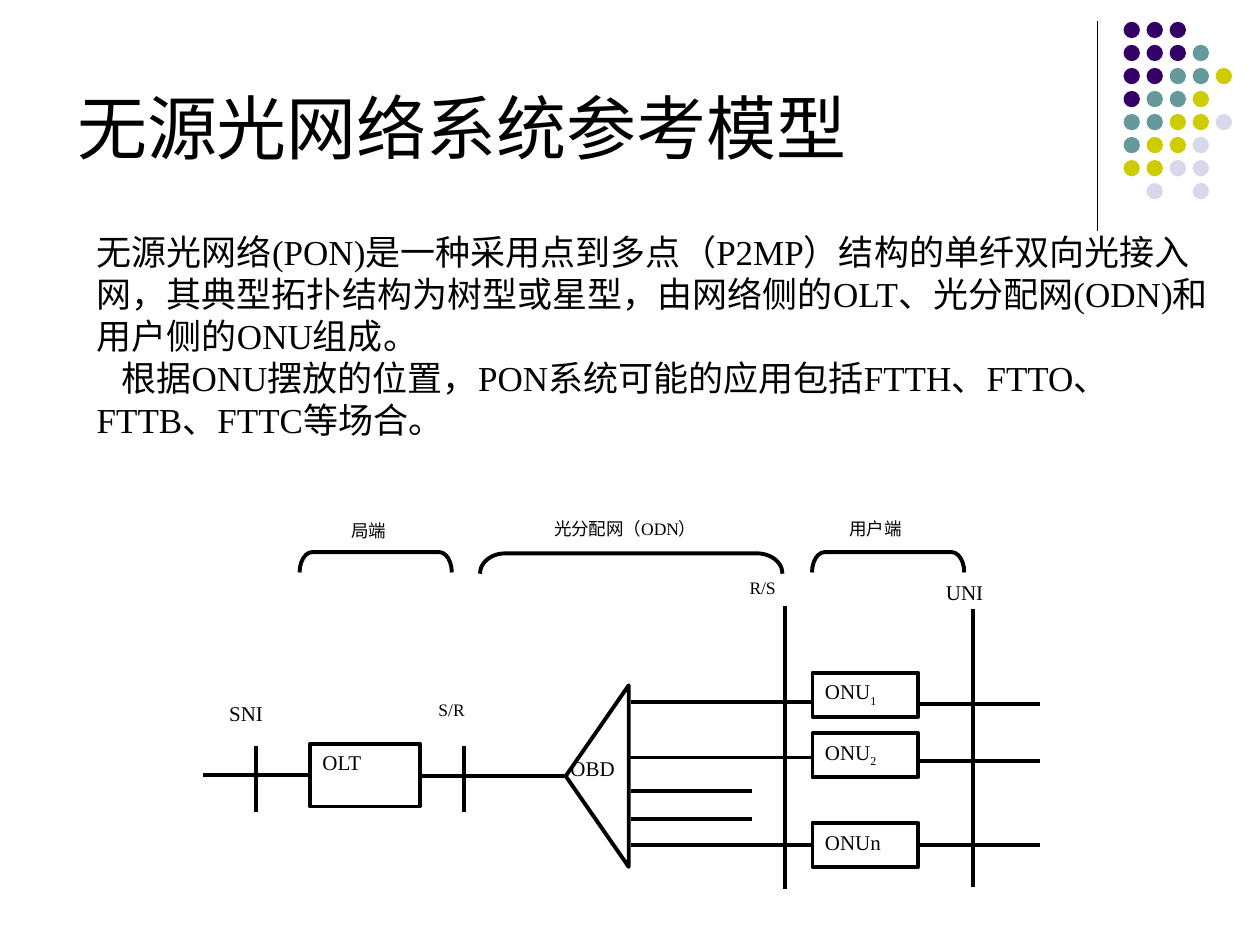
"""Build a slide on the reference model of a passive optical network."""
from lxml.etree import SubElement
from pptx import Presentation
from pptx.dml.color import RGBColor
from pptx.enum.shapes import MSO_CONNECTOR, MSO_SHAPE
from pptx.enum.text import MSO_ANCHOR, MSO_AUTO_SIZE, PP_ALIGN
from pptx.oxml.ns import qn
from pptx.util import Cm, Pt

BLACK = RGBColor(0, 0, 0)
WHITE = RGBColor(255, 255, 255)
HUES = {
    "P": RGBColor(0x33, 0x00, 0x66),
    "T": RGBColor(0x66, 0x99, 0x99),
    "Y": RGBColor(0xCC, 0xCC, 0x00),
    "L": RGBColor(0xD8, 0xD8, 0xEC),
}
FACE = "Times New Roman"
TITLE = "无源光网络系统参考模型"
BODY = [
    "无源光网络(PON)是一种采用点到多点（P2MP）结构的单纤双向光接入网，其典型拓扑结构为树型或星型，"
    "由网络侧的OLT、光分配网(ODN)和用户侧的ONU组成。",
    "根据ONU摆放的位置，PON系统可能的应用包括FTTH、FTTO、FTTB、FTTC等场合。",
]
DOTS = ["PPP", "PPPT", "PPTTY", "PTTY", "TTYYL", "TYYL", "YYLL", " L L"]
DOT, STEP, DOT_X, DOT_Y = 0.33, 3.25 / 7, 22.65, 0.44

ROWS = [
    (4.09, 6.22, 15.62), (8.46, 12.52, 15.65),
    (12.73, 17.3, 14.15), (12.7, 17.27, 15.27), (12.73, 17.3, 17.04),
    (12.73, 15.16, 15.95), (12.73, 15.16, 16.51),
    (18.52, 20.96, 14.2), (18.52, 20.96, 15.34), (18.52, 20.96, 17.04),
]
COLS = [
    (5.16, 15.04, 16.36), (9.35, 15.04, 16.36),
    (15.82, 12.22, 17.93), (19.61, 12.27, 17.88),
]
NODES = [
    ("OLT", "", 6.25, 14.99, 2.21, 1.27),
    ("ONU", "1", 16.38, 13.56, 2.13, 0.89),
    ("ONU", "2", 16.38, 14.78, 2.13, 0.89),
    ("ONUn", "", 16.38, 16.59, 2.13, 0.89),
]
ARCS = [(7.37, 9.8, 3.07, 0.62), (12.52, 8.31, 6.1, 1.25), (17.7, 9.8, 3.07, 0.62)]
LABELS = [
    ("SNI", 12, 4.37, 14, 1.52), ("S/R", 10, 8.59, 13.97, 2.13),
    ("R/S", 10, 14.86, 11.51, 2.13), ("UNI", 12, 18.82, 11.56, 1.83),
    ("局端", 10, 6.83, 10.36, 2.13), ("光分配网（ODN）", 10, 10.92, 10.31, 4.7),
    ("用户端", 10, 16.87, 10.31, 2.13), ("OBD", 12, 11.25, 15.11, 2.13),
]


def style(para, size, align=PP_ALIGN.LEFT):
    para.alignment = align
    for run in para.runs:
        run.font.name = FACE
        run.font.size = Pt(size)
        run.font.color.rgb = BLACK


def draw_line(slide, x1, y1, x2, y2, width=2.25):
    line = slide.shapes.add_connector(
        MSO_CONNECTOR.STRAIGHT, Cm(x1), Cm(y1), Cm(x2), Cm(y2))
    line.line.color.rgb = BLACK
    line.line.width = Pt(width)
    SubElement(line._element.spPr, qn("a:effectLst"))


def draw_shape(slide, kind, x, y, w, h, fill=None, edge=True):
    shape = slide.shapes.add_shape(kind, Cm(x), Cm(y), Cm(w), Cm(h))
    shape.shadow.inherit = False
    if fill is None:
        shape.fill.background()
    else:
        shape.fill.solid()
        shape.fill.fore_color.rgb = fill
    if edge:
        shape.line.color.rgb = BLACK
        shape.line.width = Pt(2.25)
    else:
        shape.line.fill.background()
    return shape


def draw_text(slide, x, y, w, h):
    frame = slide.shapes.add_textbox(Cm(x), Cm(y), Cm(w), Cm(h)).text_frame
    frame.word_wrap = True
    return frame


def draw_dots(slide):
    for j, row in enumerate(DOTS):
        for i, key in enumerate(row):
            if key in HUES:
                draw_shape(slide, MSO_SHAPE.OVAL, DOT_X + i * STEP,
                           DOT_Y + j * STEP, DOT, DOT, HUES[key], False)


def draw_head(slide):
    title = slide.shapes.title
    title.left, title.top = Cm(1.3), Cm(1.32)
    title.width, title.height = Cm(20.96), Cm(2.21)
    frame = title.text_frame
    frame.text = TITLE
    frame.auto_size = MSO_AUTO_SIZE.NONE
    frame.vertical_anchor = MSO_ANCHOR.BOTTOM
    style(frame.paragraphs[0], 40)


def draw_body(slide):
    frame = draw_text(slide, 1.7, 4.52, 23.19, 4.5)
    frame.text = "\n".join(BODY)
    for para in frame.paragraphs:
        style(para, 20)
    frame.paragraphs[1]._p.get_or_add_pPr().set("indent", str(Cm(0.5)))


def draw_node(slide, name, sub, *place):
    box = draw_shape(slide, MSO_SHAPE.RECTANGLE, *place, fill=WHITE)
    frame = box.text_frame
    frame.text = name
    frame.vertical_anchor = MSO_ANCHOR.TOP
    para = frame.paragraphs[0]
    if sub:
        run = para.add_run()
        run.text = sub
        run._r.get_or_add_rPr().set("baseline", "-25000")
    style(para, 12, PP_ALIGN.JUSTIFY)


def draw_model(slide):
    for x1, x2, y in ROWS:
        draw_line(slide, x1, y, x2, y)
    for node in NODES:
        draw_node(slide, *node)
    for x, y1, y2 in COLS:
        draw_line(slide, x, y1, x, y2)
    for x, y, span, bend in ARCS:
        arc = draw_shape(slide, MSO_SHAPE.RIGHT_BRACKET, x, y, 0.41, span)
        arc.adjustments[0] = bend
        arc.rotation = 270
    split = draw_shape(slide, MSO_SHAPE.ISOSCELES_TRIANGLE,
                       10.21, 15.01, 3.66, 1.27, WHITE)
    split.rotation = 270
    for text, size, x, y, w in LABELS:
        frame = draw_text(slide, x, y, w, 0.89)
        frame.text = text
        style(frame.paragraphs[0], size, PP_ALIGN.JUSTIFY)


def main():
    deck = Presentation()
    deck.slide_width, deck.slide_height = Cm(25.4), Cm(19.05)
    slide = deck.slides.add_slide(deck.slide_layouts[5])
    draw_line(slide, 22.12, 0.43, 22.12, 4.65, 0.75)
    draw_dots(slide)
    draw_head(slide)
    draw_body(slide)
    draw_model(slide)
    deck.save("out.pptx")


if __name__ == "__main__":
    main()
